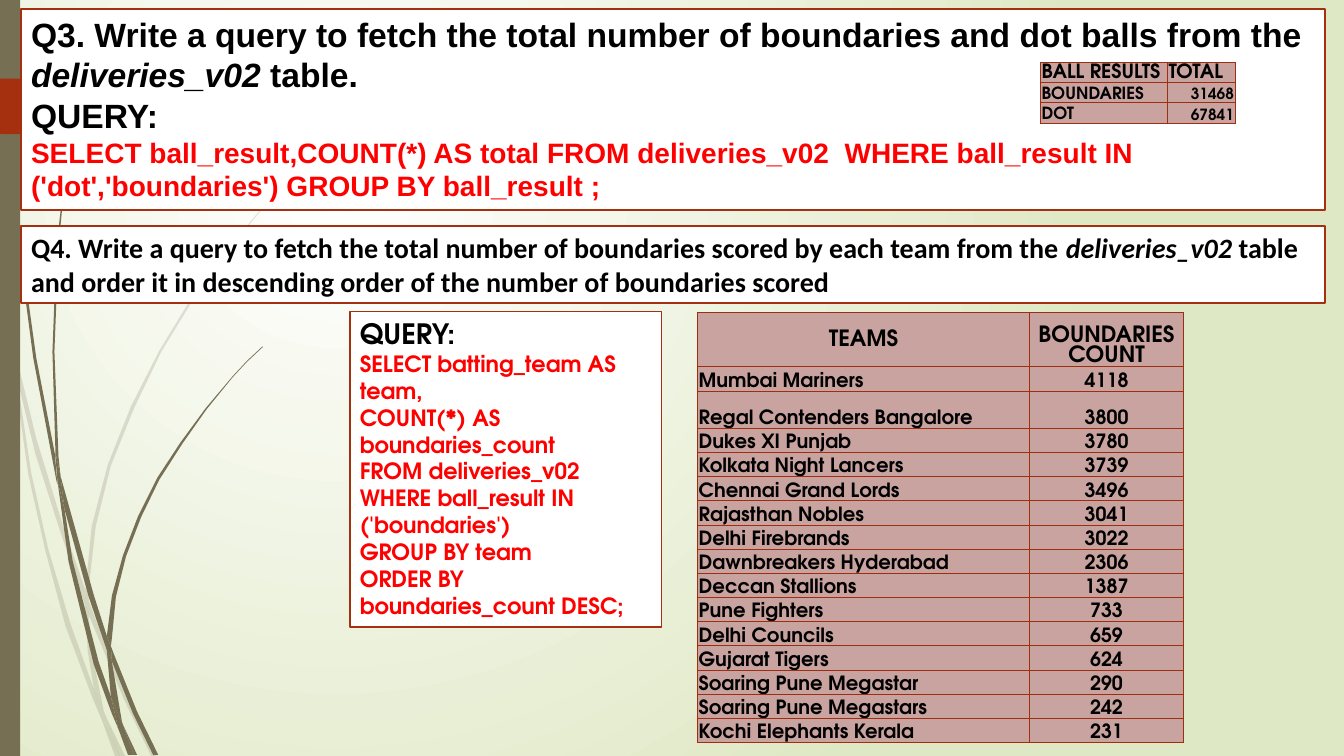
from lxml.etree import SubElement
from pptx import Presentation
from pptx.dml.color import RGBColor
from pptx.enum.shapes import MSO_SHAPE
from pptx.enum.text import MSO_ANCHOR, PP_ALIGN
from pptx.oxml import parse_xml
from pptx.oxml.ns import nsdecls, qn
from pptx.util import Inches, Pt

BLACK, RED, WHITE = "000000", "FF0000", "FFFFFF"
OLIVE, RUST, BORDER, ROSE = "766F54", "A53010", "9E2E0F", "C9A3A0"
ADVENTOR = "TeX Gyre Adventor"

PALE_WISPS = [
    [(0.11, 3.5), (0.09, 3.22), (0, 2.82), (0, 2.99), (0.1, 3.44)],
    [(0.58, 5.22), (0.84, 5.99), (0.85, 5.86), (0.62, 5.2), (0.36, 4.35), (0.14, 3.45), (0.17, 3.76), (0.35, 4.5)],
    [(0.92, 6.07), (0.88, 5.96), (0.88, 6.1), (1.23, 6.94), (1.5, 7.5), (1.55, 7.5), (1.27, 6.92)],
    [(1.19, 7.5), (1.24, 7.5), (1.05, 7.11)],
    [(0.93, 6.83), (0.7, 6.19), (0.48, 5.45), (0.31, 4.69), (0.17, 3.76), (0.11, 3.5), (0.28, 4.7),
     (0.45, 5.46), (0.65, 6.21), (0.92, 6.93), (1.01, 7.14), (0.99, 7.07)],
    [(0.84, 5.99), (0.87, 6.46), (0.93, 6.83), (0.96, 6.92), (1.05, 7.11), (1.03, 7.06), (0.91, 6.46),
     (0.88, 6.1), (0.88, 6.08)],
    [(0.88, 5.84), (0.95, 5.22), (1.1, 4.62), (1.33, 4.05), (1.6, 3.49), (1.93, 2.95), (2.29, 2.45),
     (2.68, 1.98), (2.9, 1.75), (3.12, 1.54), (3.12, 1.53), (2.89, 1.75), (2.68, 1.97), (2.28, 2.44),
     (1.91, 2.94), (1.58, 3.48), (1.3, 4.03), (1.07, 4.61), (0.91, 5.22), (0.85, 5.84), (0.85, 5.86), (0.88, 5.96)],
    [(1.01, 7.14), (1.14, 7.5), (1.19, 7.5)],
    [(0.88, 6.08), (0.88, 6.1), (0.88, 5.96), (0.85, 5.86), (0.84, 5.99)],
    [(0.96, 6.92), (0.93, 6.83), (0.99, 7.07), (1.01, 7.14), (1.19, 7.5), (1.05, 7.11)],
]
DARK_WISPS = [
    [(0.07, 1.1), (0.17, 2.33), (0.33, 3.55), (0.56, 4.77), (0.57, 4.81), (0.55, 4.57), (0.55, 4.53),
     (0.36, 3.55), (0.19, 2.32), (0.08, 1.09), (0.05, 0.48), (0.04, 0), (0.03, 0), (0.04, 0.48)],
    [(0.88, 5.92), (1.06, 6.45), (1.06, 6.33), (1.06, 6.31), (0.93, 5.9), (0.6, 4.72), (0.64, 5.05)],
    [(1.13, 6.49), (1.1, 6.41), (1.11, 6.56), (1.32, 7.08), (1.52, 7.49), (1.57, 7.49), (1.36, 7.06)],
    [(1.1, 6.91), (0.98, 6.57), (0.72, 5.56), (0.64, 5.05), (0.57, 4.77), (0.68, 5.57), (0.93, 6.59),
     (1.11, 7.08), (1.17, 7.22), (1.16, 7.17)],
    [(0.6, 4.72), (0.58, 4.53), (0.54, 3.49), (0.58, 2.45), (0.63, 1.93), (0.7, 1.41), (0.62, 1.93),
     (0.56, 2.45), (0.52, 3.49), (0.55, 4.49)],
    [(1.33, 7.49), (1.36, 7.49), (1.22, 7.19)],
    [(0.57, 4.77), (0.64, 5.05), (0.6, 4.72), (0.55, 4.49), (0.55, 4.53)],
    [(1.11, 6.33), (1.15, 5.92), (1.25, 5.52), (1.4, 5.13), (1.58, 4.76), (1.81, 4.4), (2.05, 4.06),
     (2.31, 3.74), (2.45, 3.59), (2.61, 3.44), (2.6, 3.44), (2.45, 3.58), (2.31, 3.73), (2.04, 4.05),
     (1.79, 4.39), (1.56, 4.74), (1.37, 5.12), (1.22, 5.51), (1.11, 5.91), (1.06, 6.31), (1.1, 6.41)],
    [(1.17, 7.22), (1.27, 7.49), (1.31, 7.49)],
    [(1.06, 6.45), (1.1, 6.91), (1.16, 7.06), (1.22, 7.19), (1.21, 7.16), (1.11, 6.56), (1.09, 6.51)],
    [(1.06, 6.45), (1.09, 6.51), (1.11, 6.56), (1.1, 6.41), (1.06, 6.31), (1.06, 6.33)],
    [(1.16, 7.06), (1.1, 6.91), (1.16, 7.17), (1.17, 7.22), (1.3, 7.49), (1.33, 7.49), (1.22, 7.19)],
]
RED_TAB = [(0, 0.78), (1.46, 0.78), (1.48, 0.79), (1.73, 1.04), (1.74, 1.06), (1.73, 1.08), (1.48, 1.33),
           (1.46, 1.34), (0, 1.33)]
TEAMS = [
    ("Mumbai Mariners", 4118), ("Regal Contenders Bangalore", 3800), ("Dukes XI Punjab", 3780),
    ("Kolkata Night Lancers", 3739), ("Chennai Grand Lords", 3496), ("Rajasthan Nobles", 3041),
    ("Delhi Firebrands", 3022), ("Dawnbreakers Hyderabad", 2306), ("Deccan Stallions", 1387),
    ("Pune Fighters", 733), ("Delhi Councils", 659), ("Gujarat Tigers", 624),
    ("Soaring Pune Megastar", 290), ("Soaring Pune Megastars", 242), ("Kochi Elephants Kerala", 231),
]


def color(value):
    return RGBColor.from_string(value)


def paint(shape, fill, line=None, alpha=None):
    shape.shadow.inherit = False
    shape.fill.solid()
    shape.fill.fore_color.rgb = color(fill)
    if alpha:
        tint = shape.element.spPr.find(qn("a:solidFill"))[0]
        SubElement(tint, qn("a:alpha")).set("val", str(alpha * 1000))
    if line:
        shape.line.color.rgb = color(line)
        shape.line.width = Pt(1.25)
    else:
        shape.line.fill.background()


def add_outline(shapes, points, fill, alpha=None):
    corners = [(Inches(x), Inches(y)) for x, y in points]
    builder = shapes.build_freeform(*corners[0])
    builder.add_line_segments(corners[1:], close=True)
    paint(builder.convert_to_shape(), fill, alpha=alpha)


def add_wisps(page, wisps, alpha=None):
    group = page.shapes.add_group_shape()
    for points in wisps:
        add_outline(group.shapes, points, OLIVE, alpha)


def add_rectangle(page, place, fill, line=None):
    box = page.shapes.add_shape(MSO_SHAPE.RECTANGLE, *[Inches(value) for value in place])
    paint(box, fill, line)
    return box


def add_span(para, text, size, font, ink=BLACK, italic=False):
    span = para.add_run()
    span.text = text
    span.font.size = Pt(size)
    span.font.name = font
    span.font.bold = True
    span.font.italic = italic
    span.font.color.rgb = color(ink)


def add_text_box(page, place, font, paragraphs):
    frame = add_rectangle(page, place, WHITE, RUST).text_frame
    frame.word_wrap = True
    frame.vertical_anchor = MSO_ANCHOR.TOP
    for index, (size, ink, spans) in enumerate(paragraphs):
        para = frame.add_paragraph() if index else frame.paragraphs[0]
        para.alignment = PP_ALIGN.LEFT
        for position, text in enumerate(spans):
            add_span(para, text, size, font, ink, italic=position == 1)


def fill_cell(cell, text, size, align, anchor=MSO_ANCHOR.BOTTOM):
    cell.margin_left = cell.margin_right = cell.margin_top = Inches(0.01)
    cell.margin_bottom = 0
    cell.vertical_anchor = anchor
    cell.fill.solid()
    cell.fill.fore_color.rgb = color(ROSE)
    properties = cell._tc.get_or_add_tcPr()
    for index, side in enumerate(("lnL", "lnR", "lnT", "lnB")):
        properties.insert(index, parse_xml(
            f'<a:{side} {nsdecls("a")} w="9525"><a:solidFill><a:srgbClr val="{BORDER}"/></a:solidFill></a:{side}>'))
    para = cell.text_frame.paragraphs[0]
    para.alignment = align
    add_span(para, text, size, ADVENTOR)


def add_grid(page, left, top, widths, heights):
    place = [Inches(value) for value in (left, top, sum(widths), sum(heights))]
    table = page.shapes.add_table(len(heights), len(widths), *place).table
    table.first_row = table.horz_banding = False
    for column, width in zip(table.columns, widths):
        column.width = Inches(width)
    for row, height in zip(table.rows, heights):
        row.height = Inches(height)
    return table


def add_team_table(page):
    table = add_grid(page, 6.92, 3.1, [3.29, 1.53], [0.54, 0.24, 0.37] + [0.24] * 13)
    fill_cell(table.cell(0, 0), "TEAMS", 16, PP_ALIGN.CENTER, MSO_ANCHOR.MIDDLE)
    fill_cell(table.cell(0, 1), "BOUNDARIES COUNT", 16, PP_ALIGN.CENTER)
    for row, (team, count) in enumerate(TEAMS, start=1):
        fill_cell(table.cell(row, 0), team, 14, PP_ALIGN.LEFT)
        fill_cell(table.cell(row, 1), str(count), 14, PP_ALIGN.CENTER)


def add_result_table(page):
    table = add_grid(page, 10.32, 0.62, [1.26, 0.67], [0.2] * 3)
    for column, heading in enumerate(("BALL RESULTS", "TOTAL")):
        fill_cell(table.cell(0, column), heading, 14, PP_ALIGN.LEFT)
    for row, (result, total) in enumerate((("BOUNDARIES", 31468), ("DOT", 67841)), start=1):
        fill_cell(table.cell(row, 0), result, 12, PP_ALIGN.LEFT)
        fill_cell(table.cell(row, 1), str(total), 11, PP_ALIGN.RIGHT)


def set_background(page):
    fill = page.background.fill
    fill.gradient()
    for stop, tone in zip(fill.gradient_stops, (WHITE, "DFE8C4")):
        stop.color.rgb = color(tone)
    linear = page.element.find(".//" + qn("a:lin"))
    linear.getparent().replace(linear, parse_xml(
        f'<a:path {nsdecls("a")} path="circle"><a:fillToRect l="50000" t="50000" r="100000" b="100000"/></a:path>'))


def main():
    deck = Presentation()
    deck.slide_width, deck.slide_height = Inches(13.33), Inches(7.5)
    page = deck.slides.add_slide(deck.slide_layouts[6])
    set_background(page)
    add_wisps(page, PALE_WISPS, alpha=20)
    add_wisps(page, DARK_WISPS)
    add_rectangle(page, (0, 0, 0.2, 7.5), OLIVE)
    add_outline(page.shapes, RED_TAB, RUST)
    add_text_box(page, (0.21, 0.09, 12.93, 1.99), "Arial", [
        (24, BLACK, ["Q3. Write a query to fetch the total number of boundaries and dot balls from the ",
                     "deliveries_v02 ", "table."]),
        (24, BLACK, ["QUERY:"]),
        (20, RED, ["SELECT ball_result,COUNT(*) AS total FROM deliveries_v02  WHERE ball_result IN "
                   "('dot','boundaries') GROUP BY ball_result ;"])])
    add_text_box(page, (0.21, 2.24, 12.93, 0.77), "Calibri", [
        (20, BLACK, ["Q4. Write a query to fetch the total number of boundaries scored by each team from the ",
                     "deliveries_v02 ",
                     "table and order it in descending order of the number of boundaries scored"])])
    query = ["SELECT batting_team AS team,", "COUNT(*) AS boundaries_count", "FROM deliveries_v02",
             "WHERE ball_result IN ('boundaries')", "GROUP BY team", "ORDER BY boundaries_count DESC;"]
    add_text_box(page, (3.47, 3.09, 3.09, 3.13), ADVENTOR,
                 [(20, BLACK, ["QUERY:"])] + [(16, RED, [line]) for line in query])
    add_team_table(page)
    add_result_table(page)
    deck.save("out.pptx")


if __name__ == "__main__":
    main()
